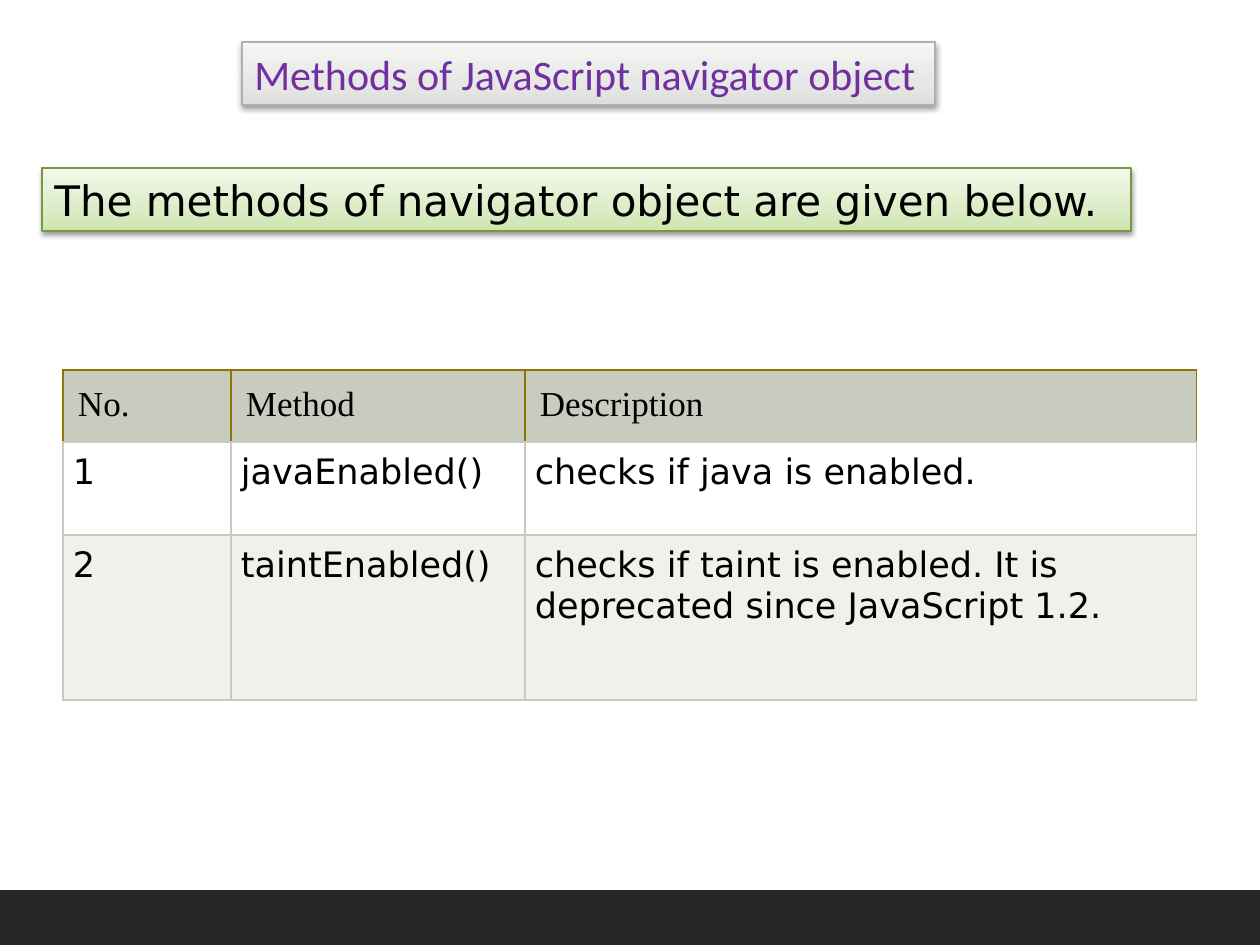
import dataclasses
import typing

import lxml.etree
import pptx
import pptx.dml.color
import pptx.enum.shapes
import pptx.enum.text
import pptx.oxml
import pptx.oxml.ns
import pptx.util

PX = 914400 / 126
NS = pptx.oxml.ns.nsdecls("a")
HUES = {
    "black": "000000", "white": "FFFFFF", "dark": "262626",
    "purple": "7030A0", "sage": "C7CCBE", "pale": "EFF1EB", "gold": "907408",
    "grey line": "B0B0AF", "green line": "7A9746",
}
FADES = {
    "grey": {0: "DEDEDD", 35: "E7E7E6", 100: "F6F6F5"},
    "green": {0: "CDE6AF", 35: "DCECC7", 100: "F1F9E9"},
}


@dataclasses.dataclass
class Banner:
    text: str
    box: tuple[int, int, int, int]
    fade: str
    line: str
    font: str
    hue: str


@dataclasses.dataclass
class Row:
    texts: tuple[str, str, str]
    height: int
    fill: str
    edge: str = "sage"
    font: str = "DejaVu Sans"
    inset: int = 10


BANNERS = [
    Banner("Methods of JavaScript navigator object", (242, 42, 693, 63),
           "grey", "grey line", "Calibri", "purple"),
    Banner("The methods of navigator object are given below.", (42, 168, 1089, 63),
           "green", "green line", "DejaVu Sans", "black"),
]
COLS = (168, 294, 672)
ROWS = [
    Row(("No.", "Method", "Description"), 72, "sage", "gold", "Times New Roman", 15),
    Row(("1", "javaEnabled()", "checks if java is enabled."), 93, "white"),
    Row(("2", "taintEnabled()",
         "checks if taint is enabled. It is deprecated since JavaScript 1.2."), 165, "pale"),
]


def emu(size: int) -> int:
    return round(size * PX)


def rgb(hue: str) -> pptx.dml.color.RGBColor:
    return pptx.dml.color.RGBColor.from_string(HUES[hue])


def write(frame: typing.Any, text: str, *, size: int, font: str, hue: str) -> None:
    frame.word_wrap = True
    para = frame.paragraphs[0]
    para.alignment = pptx.enum.text.PP_ALIGN.LEFT
    run = para.add_run()
    run.text = text
    run.font.size = pptx.util.Pt(size)
    run.font.name = font
    run.font.bold = False
    run.font.color.rgb = rgb(hue)


def add_box(slide: typing.Any, box: tuple[int, int, int, int], line: str,
            width: float) -> typing.Any:
    kind = pptx.enum.shapes.MSO_SHAPE.RECTANGLE
    shape = slide.shapes.add_shape(kind, *map(emu, box))
    shape.shadow.inherit = False
    shape.line.color.rgb = rgb(line)
    shape.line.width = pptx.util.Pt(width)
    return shape


def add_fade(shape: typing.Any, fade: str) -> None:
    shape.fill.gradient()
    shape.fill.gradient_angle = 90
    stops = shape.element.spPr.find(".//" + pptx.oxml.ns.qn("a:gsLst"))
    for stop in list(stops):
        stops.remove(stop)
    for place, hue in FADES[fade].items():
        stops.append(pptx.oxml.parse_xml(
            f'<a:gs {NS} pos="{place * 1000}"><a:srgbClr val="{hue}"/></a:gs>'))


def add_shade(shape: typing.Any) -> None:
    effects = shape.element.spPr.find(pptx.oxml.ns.qn("a:effectLst"))
    effects.append(pptx.oxml.parse_xml(
        f'<a:outerShdw {NS} blurRad="40000" dist="20000" dir="5400000" rotWithShape="0">'
        f'<a:srgbClr val="{HUES["black"]}"><a:alpha val="38000"/></a:srgbClr></a:outerShdw>'))


def add_banner(slide: typing.Any, item: Banner) -> None:
    shape = add_box(slide, item.box, item.line, 0.75)
    add_fade(shape, item.fade)
    add_shade(shape)
    shape.text_frame.vertical_anchor = pptx.enum.text.MSO_ANCHOR.MIDDLE
    write(shape.text_frame, item.text, size=24, font=item.font, hue=item.hue)


def add_edges(cell: typing.Any, edge: str) -> None:
    props = cell._tc.get_or_add_tcPr()
    for spot, side in enumerate("LRTB"):
        hue = HUES["sage" if side == "B" else edge]
        props.insert(spot, pptx.oxml.parse_xml(
            f'<a:ln{side} {NS} w="9525"><a:solidFill><a:srgbClr val="{hue}"/>'
            f'</a:solidFill></a:ln{side}>'))


def add_cell(cell: typing.Any, text: str, row: Row) -> None:
    cell.margin_left = cell.margin_right = emu(row.inset)
    cell.margin_top = cell.margin_bottom = emu(row.inset)
    cell.fill.solid()
    cell.fill.fore_color.rgb = rgb(row.fill)
    add_edges(cell, row.edge)
    write(cell.text_frame, text, size=20, font=row.font, hue="black")


def add_grid(slide: typing.Any, left: int, top: int) -> None:
    high = sum(row.height for row in ROWS)
    frame = slide.shapes.add_table(
        len(ROWS), len(COLS), emu(left), emu(top), emu(sum(COLS)), emu(high))
    table = frame.table
    for col, width in zip(table.columns, COLS):
        col.width = emu(width)
    for line, row in zip(table.rows, ROWS):
        line.height = emu(row.height)
        for cell, text in zip(line.cells, row.texts):
            add_cell(cell, text, row)


def main() -> None:
    deck = pptx.Presentation()
    deck.slide_width, deck.slide_height = emu(1260), emu(945)
    slide = deck.slides.add_slide(deck.slide_layouts[6])
    for item in BANNERS:
        add_banner(slide, item)
    add_grid(slide, 63, 370)
    strip = add_box(slide, (0, 892, 1260, 53), "dark", 2)
    strip.fill.solid()
    strip.fill.fore_color.rgb = rgb("dark")
    deck.save("out.pptx")


if __name__ == "__main__":
    main()
